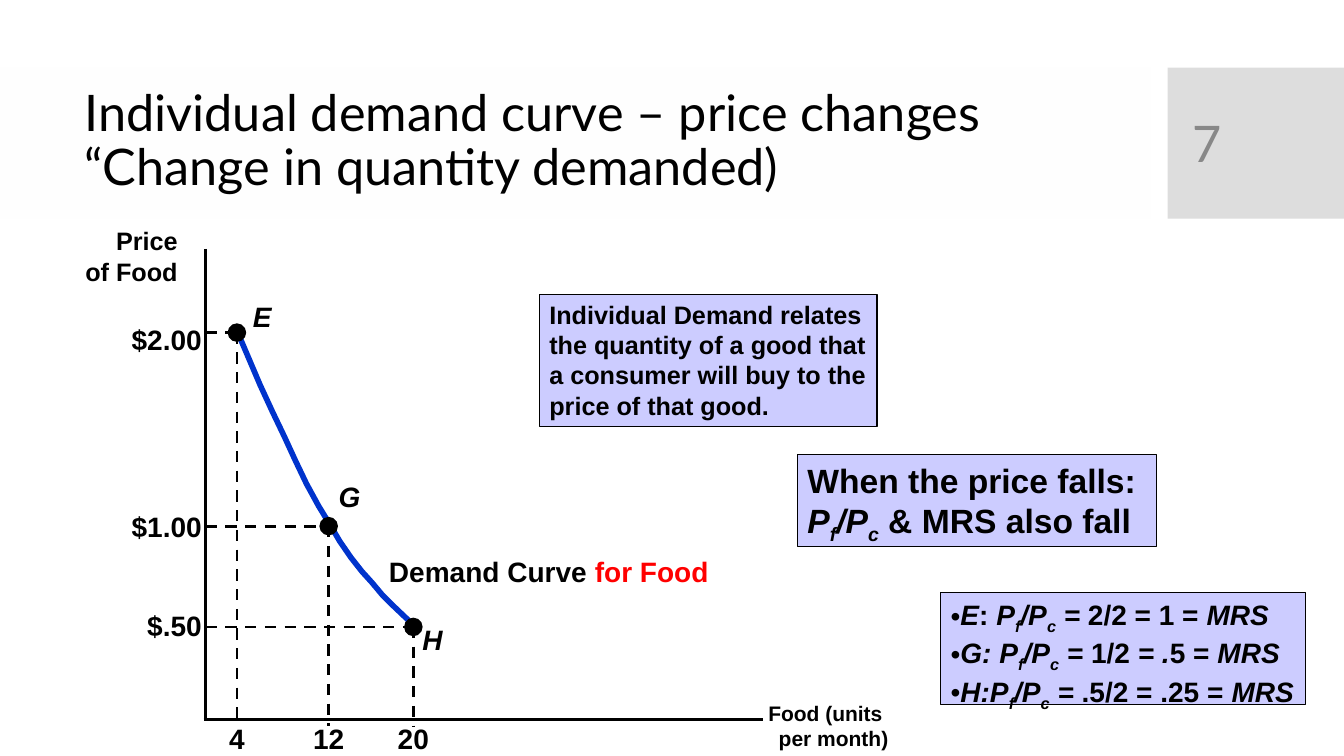
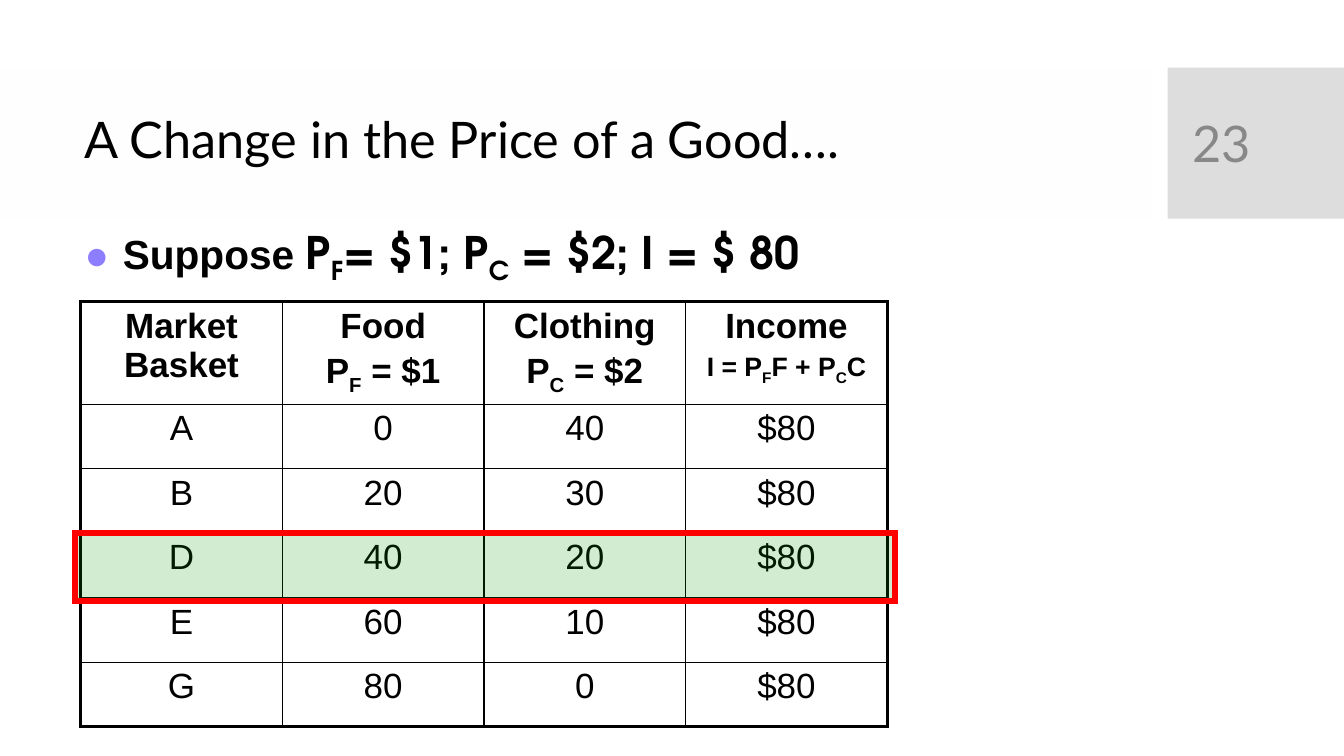
from lxml import etree
from pptx import Presentation
from pptx.dml.color import RGBColor
from pptx.enum.dml import MSO_LINE
from pptx.enum.shapes import MSO_CONNECTOR, MSO_SHAPE
from pptx.enum.text import MSO_ANCHOR, PP_ALIGN
from pptx.oxml.ns import qn
from pptx.util import Inches, Pt

RECT, OVAL = MSO_SHAPE.RECTANGLE, MSO_SHAPE.OVAL
LINE, DASH = MSO_CONNECTOR.STRAIGHT, MSO_LINE.DASH
TOP, MIDDLE = MSO_ANCHOR.TOP, MSO_ANCHOR.MIDDLE
LEFT, MID, RIGHT = PP_ALIGN.LEFT, PP_ALIGN.CENTER, PP_ALIGN.RIGHT


class Theme:
    ink, red, blue = "000000", "FF0000", "0033CC"
    band, tab, page = "FEFEFE", "DDDDDD", "888888"
    note, green, dot = "CCCCFF", "009900", "8D7DFF"
    head, body, math = "Lato", "Arial", "TeX Gyre Adventor"
    title, rule, label, axis, unit = 36, 24, 20, 18, 15
    lead, sums, cell, small = 29, 32, 25, 19


POINTS = [
    ("E", "$2.00", "4", (2.35, 3.3), (2.41, 2.92), 3.15),
    ("G", "$1.00", "12", (3.26, 5.22), (3.26, 4.71), 5.01),
    ("H", "$.50", "20", (4.1, 6.22), (4.09, 6.13), 5.99),
]
CURVE = [
    (2.35, 3.28), (2.58, 3.82), (2.7, 4.08), (2.82, 4.33), (2.93, 4.57),
    (3.04, 4.8), (3.16, 5.02), (3.27, 5.2), (3.37, 5.37), (3.48, 5.53),
    (3.59, 5.67), (3.69, 5.78), (3.79, 5.9), (3.9, 6.01), (4.1, 6.2),
]
ZERO = (2.04, 7.14)
AXES = [(ZERO[0], 2.47, *ZERO), (2.02, ZERO[1], 7.57, ZERO[1])]
NAMES = [
    (["Price", "of Food"], (0.74, 2.19, 1.12, 0.7), Theme.axis),
    (["Food (units ", "per month)"], (7.51, 6.9, 1.4, 0.6), Theme.unit),
]
NOTES = [
    (["Individual Demand relates", "the quantity of a good that",
      "a consumer will buy to the", "price of that good."],
     (5.35, 2.92, 3.35, 1.31), Theme.axis, None),
    (["*E*: *P_f_/P_c_ =* 2/2 = 1 = *MRS*",
      "*G: P_f_/P_c_ =* 1/2* = .*5 = *MRS*",
      "*H:P_f_/P_c_ =* .5/2 = .25 = *MRS*"],
     (9.33, 5.88, 3.62, 1.11), Theme.label, ("•", Theme.ink, 0, -0.14)),
    (["When the price falls:", "*P_f_/P_c_* & MRS also fall"],
     (7.91, 4.51, 3.56, 0.91), Theme.rule, None),
]
HEADS = [
    ["Market Basket"],
    ["Food", "P_F_ = $1"],
    ["Clothing", "P_C_ = $2"],
    ["Income", "I = P_F_F + P_C_C"],
]
GOODS = [("A", 0, 40), ("B", 20, 30), ("D", 40, 20), ("E", 60, 10), ("G", 80, 0)]
PICK = "D"
GRID = dict(left=0.8, top=2.99, col=2, head=1.02, row=0.64)


def tint(code):
    return RGBColor.from_string(code)


def add_runs(para, line):
    """Turn *...* into italic and _..._ into subscript."""
    if "*" not in line and "_" not in line:
        para.text = line
        return
    for i, chunk in enumerate(line.split("*")):
        for j, bit in enumerate(chunk.split("_")):
            if bit:
                run = para.add_run()
                run.text = bit
                if i % 2:
                    run.font.italic = True
                if j % 2:
                    run._r.get_or_add_rPr().set("baseline", "-25000")


def add_dot(para, mark, color, left, hang):
    props = para._p.get_or_add_pPr()
    props.set("marL", str(Inches(left)))
    props.set("indent", str(Inches(hang)))
    hue = etree.SubElement(props, qn("a:buClr"))
    etree.SubElement(hue, qn("a:srgbClr"), val=color)
    etree.SubElement(props, qn("a:buFont"), typeface=Theme.body)
    etree.SubElement(props, qn("a:buChar"), char=mark)


def write(frame, lines, size, color=Theme.ink, face=Theme.body, bold=True,
          align=LEFT, mark=None):
    for n, line in enumerate(lines):
        para = frame.add_paragraph() if n else frame.paragraphs[0]
        add_runs(para, line)
        para.alignment = align
        if mark:
            add_dot(para, *mark)
        font = para.font
        font.size, font.name, font.bold = Pt(size), face, bold
        font.color.rgb = tint(color)
    return frame.paragraphs


def add_text(slide, lines, box, size, anchor=TOP, **style):
    frame = slide.shapes.add_textbox(*map(Inches, box)).text_frame
    frame.word_wrap = True
    frame.vertical_anchor = anchor
    return write(frame, lines, size, **style)


def add_box(slide, box, fill, line=None, width=1, kind=RECT):
    shape = slide.shapes.add_shape(kind, *map(Inches, box))
    shape.shadow.inherit = False
    shape.fill.solid()
    shape.fill.fore_color.rgb = tint(fill)
    if line:
        shape.line.color.rgb = tint(line)
        shape.line.width = Pt(width)
    else:
        shape.line.fill.background()
    return shape


def add_line(slide, ends, dash=None):
    line = slide.shapes.add_connector(LINE, *map(Inches, ends))
    line.line.color.rgb = tint(Theme.ink)
    line.line.width = Pt(2)
    if dash:
        line.line.dash_style = dash
    etree.SubElement(line._element.spPr, qn("a:effectLst"))


def add_slide(deck, title, page):
    slide = deck.slides.add_slide(deck.slide_layouts[6])
    add_box(slide, (0, 0.67, 11.41, 1.5), Theme.band)
    add_box(slide, (11.58, 0.67, 1.75, 1.5), Theme.tab)
    style = dict(anchor=MIDDLE, face=Theme.head, bold=False)
    paras = add_text(slide, [title], (0.74, 0.82, 10.51, 1.18), Theme.title, **style)
    paras[0].line_spacing = 0.9
    add_text(slide, [page], (11.73, 0.82, 1.26, 1.19), Theme.title,
             color=Theme.page, **style)
    return slide


def add_curve(slide):
    first, *rest = [(Inches(x), Inches(y)) for x, y in CURVE]
    path = slide.shapes.build_freeform(*first)
    path.add_line_segments(rest, close=False)
    curve = path.convert_to_shape()
    curve.shadow.inherit = False
    curve.fill.background()
    curve.line.color.rgb = tint(Theme.blue)
    curve.line.width = Pt(4)


def draw_graph(slide):
    add_curve(slide)
    para = add_text(slide, ["Demand Curve "], (3.76, 5.45, 3.4, 0.43), Theme.label)[0]
    run = para.add_run()
    run.text = "for Food"
    run.font.color.rgb = tint(Theme.red)
    for ends in AXES:
        add_line(slide, ends)
    for lines, box, size in NAMES:
        add_text(slide, lines, box, size, align=RIGHT)
    dot, high, wide = 0.17, 0.43, 0.95
    for name, price, count, (x, y), spot, top in POINTS:
        add_line(slide, (ZERO[0], y, x, y), DASH)
        add_line(slide, (x, y, x, 7.2), DASH)
        add_box(slide, (x - dot / 2, y - dot / 2, dot, dot), Theme.ink,
                Theme.ink, kind=OVAL)
        add_text(slide, [f"*{name}*"], (*spot, 0.45, high), Theme.label)
        add_text(slide, [price], (2.1 - wide, top, wide, high), Theme.label, align=RIGHT)
        add_text(slide, [count], (x - 0.3, 7.11, 0.6, high), Theme.label, align=MID)
    for lines, box, size, mark in NOTES:
        frame = add_box(slide, box, Theme.note, Theme.ink).text_frame
        frame.word_wrap = True
        frame.vertical_anchor = TOP
        write(frame, lines, size, mark=mark)


def add_edge(cell, side, width):
    edge = etree.SubElement(cell._tc.get_or_add_tcPr(), qn("a:ln" + side),
                            w=str(Pt(width)))
    fill = etree.SubElement(edge, qn("a:solidFill"))
    etree.SubElement(fill, qn("a:srgbClr"), val=Theme.ink)


def draw_table(slide):
    rows = [HEADS] + [[[str(v)] for v in (*good, "$80")] for good in GOODS]
    left, top, col, head, row = GRID.values()
    last, end = len(rows) - 1, len(HEADS) - 1
    size = (left, top, col * len(HEADS), head + row * last)
    table = slide.shapes.add_table(len(rows), len(HEADS), *map(Inches, size)).table
    table.first_row = table.horz_banding = False
    for item in table.columns:
        item.width = Inches(col)
    for r, texts in enumerate(rows):
        table.rows[r].height = Inches(row if r else head)
        for c, lines in enumerate(texts):
            cell = table.cell(r, c)
            cell.margin_bottom = 0
            paras = write(cell.text_frame, lines, Theme.cell, bold=r == 0, align=MID)
            for para in paras[1:]:
                para.space_before = Pt(5)
                if c == end:
                    para.font.size = Pt(Theme.small)
            outer = {"L": c == 0, "R": c == end, "T": r == 0, "B": r == last}
            for side, thick in outer.items():
                add_edge(cell, side, 2.25 if thick else 1)
            cell.fill.background()
    place = [good[0] for good in GOODS].index(PICK)
    frame = add_box(slide, (left - 0.06, top + head + row * place,
                            size[2] + 0.14, row + 0.03),
                    Theme.green, Theme.red, 4.25)
    props = frame._element.spPr
    hue = props.find(qn("a:solidFill")).find(qn("a:srgbClr"))
    etree.SubElement(hue, qn("a:alpha"), val="18000")
    etree.SubElement(props.find(qn("a:ln")), qn("a:miter"), lim="800000")


def main():
    deck = Presentation()
    deck.slide_width, deck.slide_height = Inches(13.33), Inches(7.5)
    draw_graph(add_slide(
        deck, "Individual demand curve – price changes\v“Change in quantity demanded)", "7"))
    slide = add_slide(deck, "A Change in the Price of a Good….", "23")
    para = add_text(slide, ["Suppose __P_F_= $1; P_C_ = $2; I = $ 80"],
                    (0.74, 2.18, 8, 4.5), Theme.sums, face=Theme.math,
                    mark=("●", Theme.dot, 0.38, -0.38))[0]
    lead = para.runs[0].font
    lead.size, lead.name = Pt(Theme.lead), Theme.body
    draw_table(slide)
    deck.save("out.pptx")


if __name__ == "__main__":
    main()
